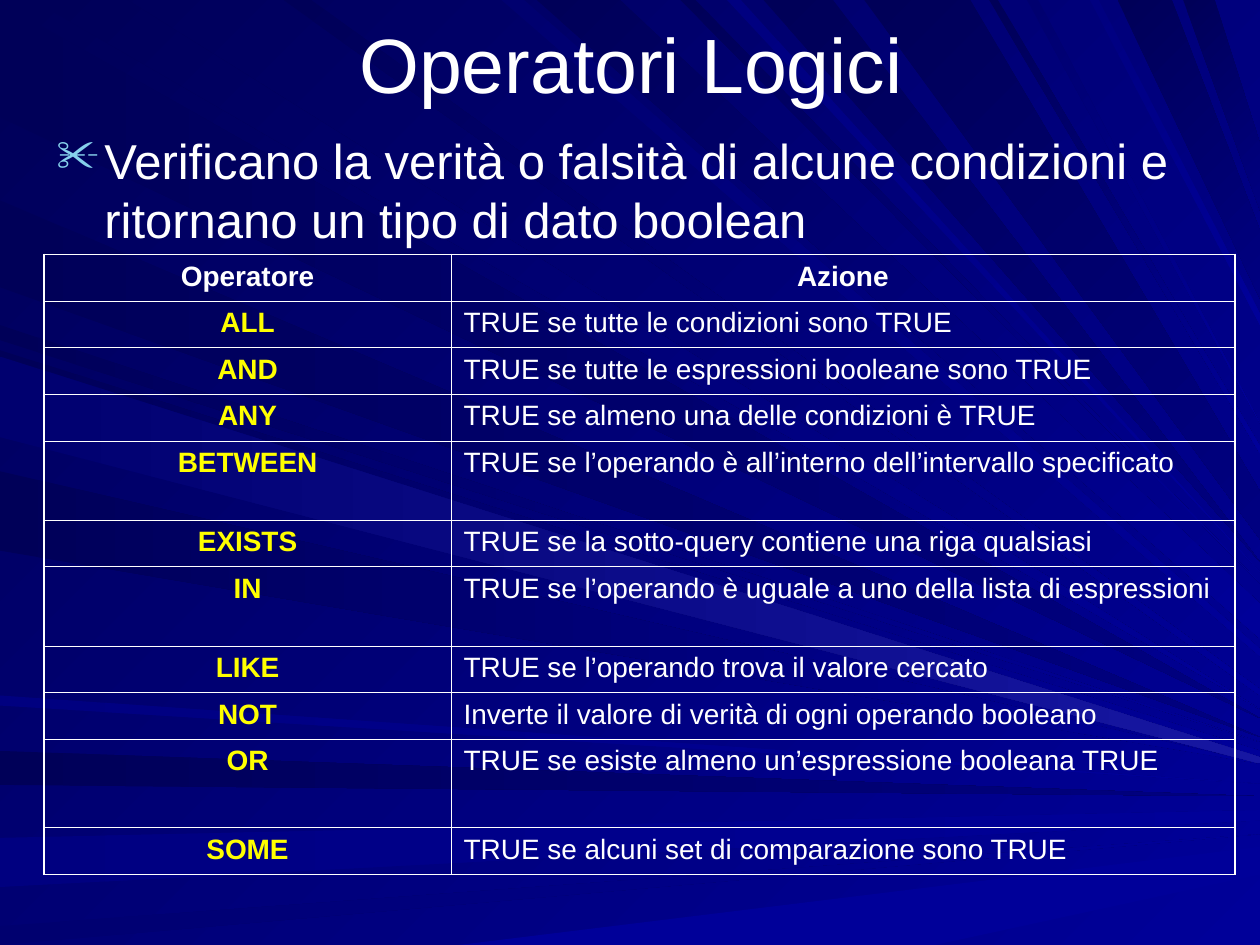
from lxml import etree
from pptx import Presentation
from pptx.dml.color import RGBColor
from pptx.enum.text import MSO_ANCHOR, PP_ALIGN
from pptx.oxml.ns import qn
from pptx.util import Inches, Pt

CENTER, LEFT = PP_ALIGN.CENTER, PP_ALIGN.LEFT
TOP, MIDDLE = MSO_ANCHOR.TOP, MSO_ANCHOR.MIDDLE
FONT = "Arial"
BLANK_LAYOUT = 6
WIDTH, HEIGHT = 10, 7.5
COLORS = {
    "text": "FFFFFF", "operator": "FFFF00", "bullet": "86D1EC", "border": "FFFFFF",
    "night": "000058", "deep": "00006F", "navy": "000080", "blue": "000099",
    "glow": "1717A2",
}
OUTER_BORDER, INNER_BORDER = Pt(1.08), Pt(0.45)

# Clockwise gradient angle of the rays from each edge
RAY_ANGLES = {"left": 0, "top": 45, "bottom": 0}
# Each ray: edge, first and last colour, span on that edge, tip heights on the right edge
RAYS = [
    ("left", "night", "navy", (0.02, 0.93), (5.7,)),
    ("top", "night", "blue", (0.26, 1.01), (5.63,)),
    ("left", "night", "navy", (5.96, 6.23), (6.32,)),
    ("left", "navy", "blue", (6.65, 7.04), (6.43, 6.51)),
    ("left", "deep", "blue", (7.35, 7.5), (6.62,)),
    ("bottom", "blue", "blue", (3.64, 7.42), (6.72, 6.94)),
    ("left", "night", "blue", (2.58, 2.7), (5.89,)),
    ("left", "night", "navy", (1.59, 2.28), (5.85,)),
    ("top", "deep", "blue", (3.98, 4.16), (5.15, 5.21)),
    ("top", "night", "blue", (4.26, 4.92), (4.79, 5.07)),
    ("top", "night", "blue", (5.4, 5.52), (4.63,)),
    ("top", "night", "navy", (6.06, 6.61), (4.46,)),
    ("top", "night", "navy", (8.87, 9.3), (1.83, 2.37)),
    ("top", "night", "navy", (9.39, 9.64), (1.14, 1.67)),
    ("left", "night", "blue", (2.78, 3.42), (5.96, 6.02)),
    ("left", "night", "blue", (3.74, 4.37), (6.06,)),
    ("left", "navy", "blue", (5.52, 5.6), (6.22,)),
    ("top", "night", "blue", (2.25, 2.47), (5.47, 5.52)),
    ("top", "navy", "blue", (5.77, 5.88), (4.54,)),
    ("top", "night", "navy", (6.86, 7.7), (3.9, 4.28)),
    ("top", "night", "blue", (7.85, 7.92), (3.54, 3.6)),
    ("top", "deep", "blue", (8.15, 8.24), (3.36,)),
    ("top", "navy", "blue", (8.65, 8.72), (2.49, 2.58)),
    ("left", "deep", "glow", (2.83, 3.47), (6.01, 6.06)),
]

HEADERS = ("Operatore", "Azione")
COLUMN_WIDTHS = (3.23, 6.22)
ROW_HEIGHT = 0.37
TALL_ROWS = {"BETWEEN": 0.63, "IN": 0.63, "OR": 0.7}
OPERATORS = [
    ("ALL", "TRUE se tutte le condizioni sono TRUE"),
    ("AND", "TRUE se tutte le espressioni booleane sono TRUE"),
    ("ANY", "TRUE se almeno una delle condizioni è TRUE"),
    ("BETWEEN", "TRUE se l’operando è all’interno dell’intervallo specificato"),
    ("EXISTS", "TRUE se la sotto-query contiene una riga qualsiasi"),
    ("IN", "TRUE se l’operando è uguale a uno della lista di espressioni"),
    ("LIKE", "TRUE se l’operando trova il valore cercato"),
    ("NOT", "Inverte il valore di verità di ogni operando booleano"),
    ("OR", "TRUE se esiste almeno un’espressione booleana TRUE"),
    ("SOME", "TRUE se alcuni set di comparazione sono TRUE"),
]


def set_fill(fill, first, last, angle):
    """Fill with a clockwise gradient, or plainly when both colours agree."""
    if first == last:
        fill.solid()
        fill.fore_color.rgb = RGBColor.from_string(first)
        return
    fill.gradient()
    fill.gradient_angle = 360 - angle
    for stop, color in zip(fill.gradient_stops, (first, last)):
        stop.color.rgb = RGBColor.from_string(color)


def set_text(frame, text, size, color, align, bold=False, space_before=0):
    frame.text = text
    frame.word_wrap = True
    para = frame.paragraphs[0]
    para.alignment = align
    para.space_before = Pt(space_before)
    font = para.runs[0].font
    font.name, font.size, font.bold = FONT, Pt(size), bold
    font.color.rgb = RGBColor.from_string(color)
    return para


def ray_corners(edge, span, tips, width, height):
    """Go along the span on the edge, then along the tip on the right side."""
    if edge == "left":
        base = [(0, y) for y in span]
    else:
        base = [(x, 0 if edge == "top" else height) for x in span]
    ordered_tips = tips if edge == "top" else tips[::-1]
    return base + [(width, y) for y in ordered_tips]


def add_rays(slide, box):
    left, top, width, height = box
    group = slide.shapes.add_group_shape()
    for edge, first, last, span, tips in RAYS:
        corners = ray_corners(edge, span, tips, width, height)
        start, *others = [(Inches(left + x), Inches(top + y)) for x, y in corners]
        builder = group.shapes.build_freeform(*start)
        builder.add_line_segments(others, close=True)
        ray = builder.convert_to_shape()
        ray.shadow.inherit = False
        ray.line.fill.background()
        set_fill(ray.fill, COLORS[first], COLORS[last], RAY_ANGLES[edge])


def add_text_box(slide, box, anchor, *style, **options):
    frame = slide.shapes.add_textbox(*map(Inches, box)).text_frame
    frame.vertical_anchor = anchor
    return set_text(frame, *style, **options)


def add_bullet(para, char, color, percent, indent):
    props = para._p.get_or_add_pPr()
    props.set("marL", str(Inches(indent)))
    props.set("indent", str(-Inches(indent)))
    bullet_color = etree.SubElement(props, qn("a:buClr"))
    etree.SubElement(bullet_color, qn("a:srgbClr"), val=color)
    etree.SubElement(props, qn("a:buSzPct"), val=str(percent * 1000))
    etree.SubElement(props, qn("a:buChar"), char=char)


def set_borders(cell, widths):
    """Draw the left, right, top and bottom borders in the given widths."""
    props = cell._tc.get_or_add_tcPr()
    for index, (side, width) in enumerate(zip("LRTB", widths)):
        line = etree.Element(qn(f"a:ln{side}"), w=str(width))
        fill = etree.SubElement(line, qn("a:solidFill"))
        etree.SubElement(fill, qn("a:srgbClr"), val=COLORS["border"])
        props.insert(index, line)


def add_operator_table(slide, box):
    rows = [HEADERS, *OPERATORS]
    table = slide.shapes.add_table(len(rows), len(HEADERS), *map(Inches, box)).table
    table.horz_banding = False
    for column, width in zip(table.columns, COLUMN_WIDTHS):
        column.width = Inches(width)
    for r, texts in enumerate(rows):
        table.rows[r].height = Inches(TALL_ROWS.get(texts[0], ROW_HEIGHT))
        for c, text in enumerate(texts):
            cell = table.cell(r, c)
            is_header, is_operator = r == 0, c == 0
            color = COLORS["operator" if is_operator and not is_header else "text"]
            emphasized = is_header or is_operator
            set_text(cell.text_frame, text, 16, color, CENTER if emphasized else LEFT,
                     bold=emphasized, space_before=4)
            cell.fill.background()
            outer_sides = (c == 0, c == len(HEADERS) - 1, is_header, False)
            set_borders(cell, [OUTER_BORDER if outer else INNER_BORDER for outer in outer_sides])


def build_operators_slide(deck):
    slide = deck.slides.add_slide(deck.slide_layouts[BLANK_LAYOUT])
    set_fill(slide.background.fill, COLORS["night"], COLORS["blue"], 45)
    add_rays(slide, (0, 0, WIDTH, HEIGHT))
    add_text_box(slide, (0.51, 0, 9, 0.99), MIDDLE, "Operatori Logici", 44, COLORS["text"], CENTER)
    intro = add_text_box(
        slide, (0.35, 0.99, 9.45, 1.18), TOP,
        "Verificano la verità o falsità di alcune condizioni e ritornano un tipo di dato boolean",
        28, COLORS["text"], LEFT, space_before=7)
    add_bullet(intro, "✂", COLORS["bullet"], 90, 0.38)
    add_operator_table(slide, (0.35, 2.02, 9.45, 4.9))


def main():
    deck = Presentation()
    deck.slide_width, deck.slide_height = Inches(WIDTH), Inches(HEIGHT)
    build_operators_slide(deck)
    deck.save("out.pptx")


if __name__ == "__main__":
    main()
